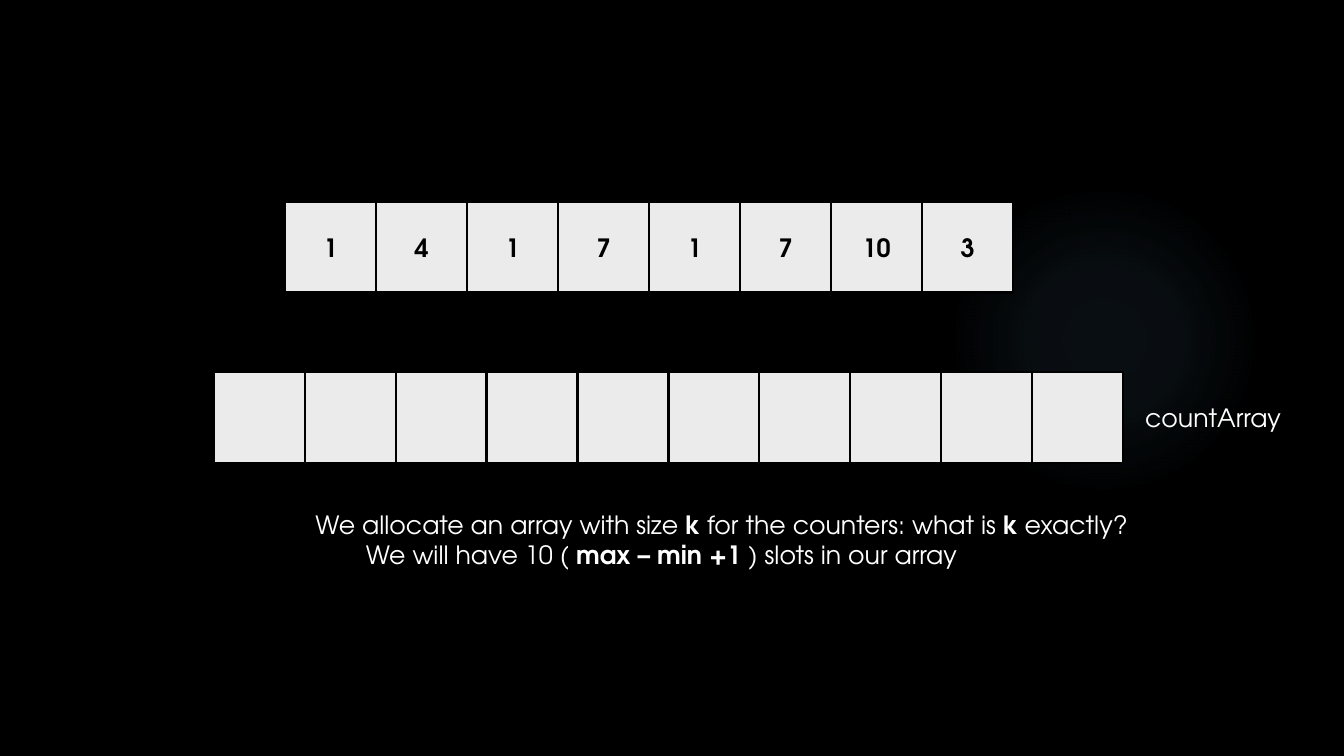
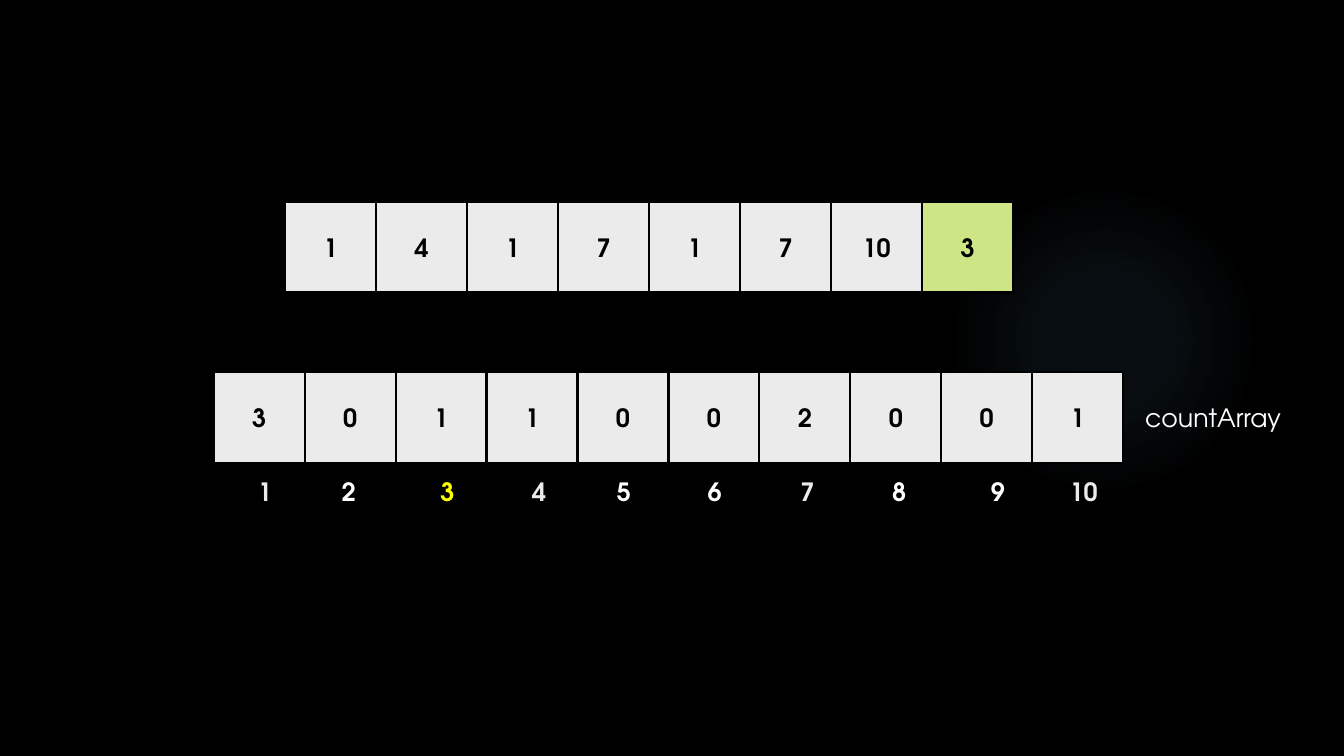
import pptx
import pptx.util
import pptx.oxml
import pptx.oxml.ns
import pptx.dml.color
import pptx.enum.shapes
import pptx.enum.text
import lxml.etree
from dataclasses import dataclass

Inches = pptx.util.Inches


@dataclass(frozen=True)
class Theme:
    font: str = "TeX Gyre Adventor"
    size: int = 18
    line: float = 1.5
    back: str = "000000"
    cell: str = "EBEBEB"
    mark: str = "CDE585"
    ink: str = "000000"
    text: str = "FFFFFF"
    hot: str = "FFFF00"
    glow: str = "7AC4F0"
    fade: tuple = ((0, 7), (36, 6), (69, 0))


def color(code):
    return pptx.dml.color.RGBColor.from_string(code)


class Deck:
    def __init__(self, theme):
        self.theme = theme
        self.prs = pptx.Presentation()
        self.prs.slide_width = Inches(13.33)
        self.prs.slide_height = Inches(7.5)
        fill = self.prs.slide_master.background.fill
        fill.solid()
        fill.fore_color.rgb = color(theme.back)
        self.slide = None

    def start(self):
        self.slide = self.prs.slides.add_slide(self.prs.slide_layouts[6])

    def shape(self, kind, left, top, width, height):
        shape = self.slide.shapes.add_shape(
            kind, Inches(left), Inches(top), Inches(width), Inches(height))
        shape.shadow.inherit = False
        return shape

    def glow(self, left, top, side):
        oval = self.shape(pptx.enum.shapes.MSO_SHAPE.OVAL, left, top, side, side)
        oval.line.fill.background()
        oval.fill.background()
        stops = "".join(
            f'<a:gs pos="{pos * 1000}"><a:srgbClr val="{self.theme.glow}">'
            f'<a:alpha val="{alpha * 1000}"/></a:srgbClr></a:gs>'
            for pos, alpha in self.theme.fade)
        grad = pptx.oxml.parse_xml(
            f'<a:gradFill {pptx.oxml.ns.nsdecls("a")}><a:gsLst>{stops}</a:gsLst>'
            '<a:path path="circle"><a:fillToRect l="50000" t="50000" '
            'r="50000" b="50000"/></a:path></a:gradFill>')
        blank = oval.element.spPr.find(pptx.oxml.ns.qn("a:noFill"))
        blank.getparent().replace(blank, grad)
        oval.element.nvSpPr.cNvPr.set("id", "20")
        self.prs.slide_master.shapes.element.append(oval.element)

    def style(self, para, tint, bold=None):
        para.font.name = self.theme.font
        para.font.size = pptx.util.Pt(self.theme.size)
        para.font.bold = bold
        if tint:
            para.font.color.rgb = color(tint)

    def cell(self, left, top, side, text, tint):
        box = self.shape(pptx.enum.shapes.MSO_SHAPE.RECTANGLE, left, top, side, side)
        box.fill.solid()
        box.fill.fore_color.rgb = color(tint)
        box.line.color.rgb = color(self.theme.back)
        box.line.width = pptx.util.Pt(self.theme.line)
        if text:
            frame = box.text_frame
            frame.vertical_anchor = pptx.enum.text.MSO_ANCHOR.MIDDLE
            para = frame.paragraphs[0]
            para.text = text
            para.alignment = pptx.enum.text.PP_ALIGN.CENTER
            self.style(para, self.theme.ink, True)

    def row(self, left, top, width, items, mark=None):
        side = width / len(items)
        for i, text in enumerate(items):
            tint = self.theme.mark if i == mark else self.theme.cell
            self.cell(left + i * side, top, side, text, tint)

    def frame(self, left, top, width, height, wrap=True):
        box = self.slide.shapes.add_textbox(
            Inches(left), Inches(top), Inches(width), Inches(height))
        box.text_frame.word_wrap = wrap
        return box.text_frame

    def label(self, left, top, width, height, text):
        para = self.frame(left, top, width, height, False).paragraphs[0]
        para.text = text
        self.style(para, self.theme.text)

    def note(self, left, top, width, height, lines):
        frame = self.frame(left, top, width, height)
        for i, (indent, parts) in enumerate(lines):
            para = frame.add_paragraph() if i else frame.paragraphs[0]
            para._p.get_or_add_pPr().set("marL", str(Inches(indent)))
            self.style(para, self.theme.text)
            for j, part in enumerate(parts):
                run = para.add_run()
                run.text = part
                if j % 2:
                    run.font.bold = True

    def index(self, left, top, width, height, items, stops):
        para = self.frame(left, top, width, height).paragraphs[0]
        self.style(para, None, True)
        tabs = lxml.etree.Element(pptx.oxml.ns.qn("a:tabLst"))
        for stop in stops:
            lxml.etree.SubElement(tabs, pptx.oxml.ns.qn("a:tab"),
                                  pos=str(Inches(stop)), algn="ctr")
        para._p.get_or_add_pPr().insert(0, tabs)
        for i, (text, tint) in enumerate(items):
            run = para.add_run()
            run.text = "\t" + text if i else text
            run.font.color.rgb = color(tint)


def arrays(deck, counts, mark=None):
    deck.row(2.83, 2, 7.22, ["1", "4", "1", "7", "1", "7", "10", "3"], mark)
    deck.row(2.12, 3.69, 9.02, counts)
    deck.label(11.26, 3.94, 1.57, 0.4, "countArray")


def main():
    theme = Theme()
    deck = Deck(theme)
    deck.start()
    deck.glow(9.41, 1.83, 3.08)
    arrays(deck, [""] * 10)
    deck.note(3.03, 5, 8.34, 0.71, [
        (0, ["We allocate an array with size ", "k",
             " for the counters: what is ", "k", " exactly?"]),
        (0.5, ["We will have 10 ( ", "max – min +1 ", ") slots in our array"]),
    ])

    deck.start()
    arrays(deck, list("3011002001"), 7)
    tints = {1: theme.cell, 3: theme.hot, 4: theme.cell,
             7: theme.cell, 10: theme.cell}
    deck.index(2.46, 4.68, 8.62, 0.4,
               [(str(n), tints.get(n, theme.text)) for n in range(1, 11)],
               [0.9, 1.88, 2.79, 3.63, 4.53, 5.45, 6.36, 7.34, 8.19])
    deck.prs.save("out.pptx")


if __name__ == "__main__":
    main()
